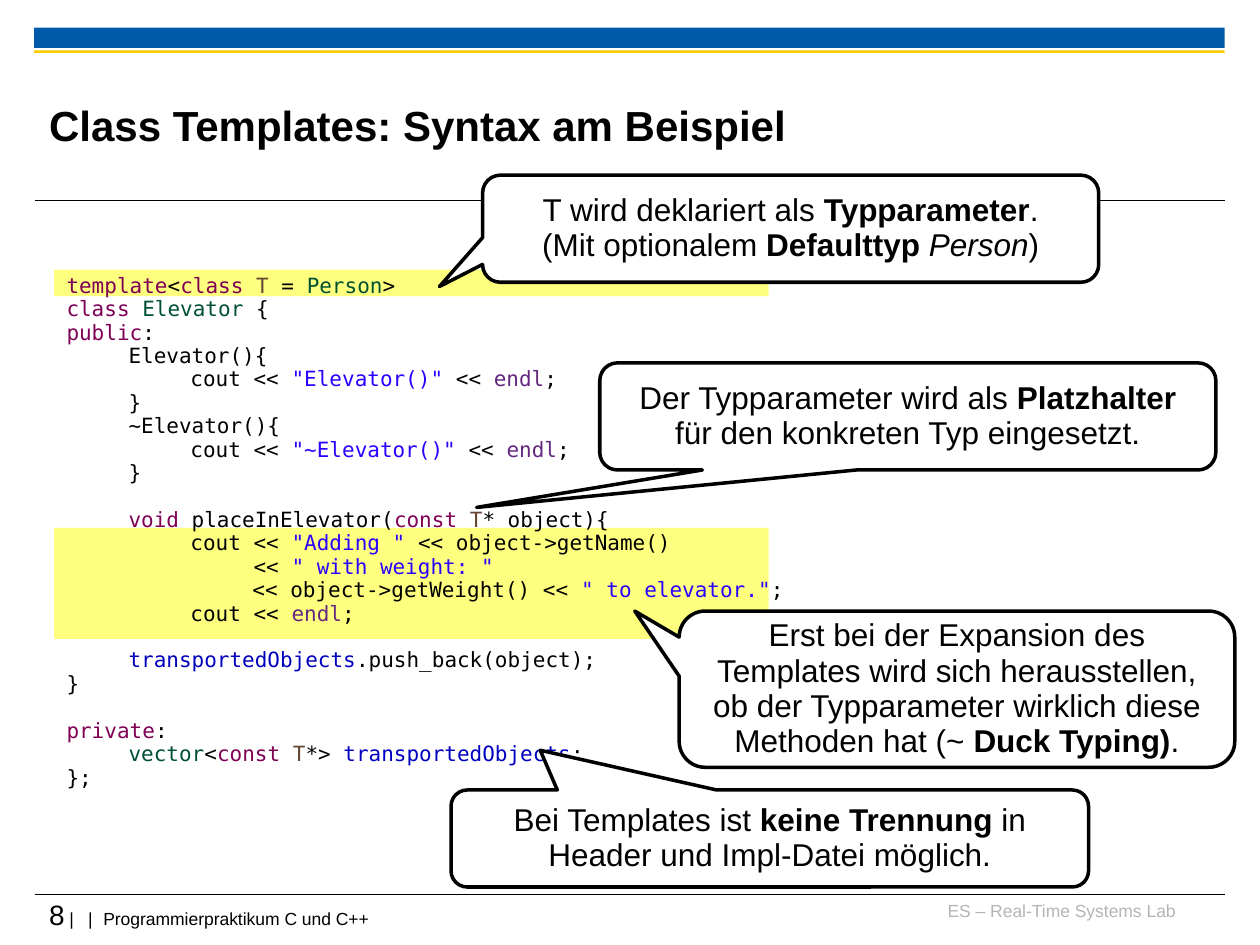
from lxml import etree
from pptx import Presentation
from pptx.dml.color import RGBColor
from pptx.enum.shapes import MSO_CONNECTOR, MSO_SHAPE
from pptx.enum.text import MSO_ANCHOR, PP_ALIGN
from pptx.oxml.ns import qn
from pptx.util import Inches, Pt

LEFT, CENTER, RIGHT = PP_ALIGN.LEFT, PP_ALIGN.CENTER, PP_ALIGN.RIGHT
TOP, MIDDLE = MSO_ANCHOR.TOP, MSO_ANCHOR.MIDDLE
RECT, CALLOUT = MSO_SHAPE.RECTANGLE, MSO_SHAPE.ROUNDED_RECTANGULAR_CALLOUT
STRAIGHT = MSO_CONNECTOR.STRAIGHT

COLUMNS, ROWS = 100, 75
CODE_TAB = 4.92
CODE_LINE = 13.4
COLORS = {
    "text": "000000", "paper": "FFFFFF", "bar": "005AA9", "accent": "FDCA00",
    "muted": "B5B5B5", "highlight": "FFFF00", "keyword": "7F0055",
    "param": "644632", "type": "005032", "string": "2A00FF",
    "function": "642880", "field": "0000C0",
}
BOLD, ITALIC = {"bold": True}, {"italic": True}

CODE = [
    [("template", "keyword"), ("<",), ("class ", "keyword"), ("T", "param"),
     (" = ",), ("Person", "type"), (">",)],
    [("class ", "keyword"), ("Elevator", "type"), (" {",)],
    [("public", "keyword"), (":",)],
    [("\tElevator(){",)],
    [("\t\tcout << ",), ('"Elevator()"', "string"), (" << ",),
     ("endl", "function"), (";",)],
    [("\t}",)],
    [("\t~Elevator(){",)],
    [("\t\tcout << ",), ('"~Elevator()"', "string"), (" << ",),
     ("endl", "function"), (";",)],
    [("\t}",)],
    [("\tvoid", "keyword"), (" placeInElevator(",), ("const ", "keyword"),
     ("T", "param"), ("* object){",)],
    [("\t\tcout << ",), ('"Adding "', "string"), (" << object->getName()",)],
    [("\t\t     << ",), ('" with weight: "', "string")],
    [(" \t\t\t<< object->getWeight() << ",), ('" to elevator."', "string"), (";",)],
    [("\t\tcout << ",), ("endl", "function"), (";",)],
    [("\ttransportedObjects", "field"), (".push_back(object);",)],
    [("}",)],
    [("private", "keyword"), (":",)],
    [("\tvector", "type"), ("<",), ("const ", "keyword"), ("T", "param"),
     ("*> ",), ("transportedObjects", "field"), (";",)],
    [("};",)],
]
SECTION_STARTS = {9, 14, 16}

CALLOUTS = [
    ((38.3, 13.9, 48.9, 8.5), (-0.57, 0.54),
     [[("T wird deklariert als ",), ("Typparameter", "text", BOLD), (".",)],
      [("(Mit optionalem ",), ("Defaulttyp ", "text", BOLD),
       ("Person", "text", ITALIC), (")",)]]),
    ((35.8, 62.7, 50.6, 7.7), (-0.36, -0.91),
     [[("Bei Templates ist ",), ("keine Trennung ", "text", BOLD),
       ("in Header und Impl-Datei möglich.",)]]),
    ((47.6, 28.8, 48.9, 8.5), (-0.7, 0.85),
     [[("Der Typparameter wird als ",), ("Platzhalter ", "text", BOLD),
       ("für den konkreten Typ eingesetzt.",)]]),
    ((53.9, 48.5, 44.1, 12.4), (-0.58, -0.5),
     [[("Erst bei der Expansion des Templates wird sich herausstellen, "
        "ob der Typparameter wirklich diese Methoden hat (~ ",),
       ("Duck Typing)", "text", BOLD), (".",)]]),
]


class SlideBuilder:
    body_font = {"name": "Arial", "size": Pt(18)}
    title_font = {"name": "Arial", "size": Pt(24), "bold": True}
    footer_font = {"name": "Arial", "size": Pt(10)}
    code_font = {"name": "DejaVu Sans Mono", "size": Pt(12)}
    padding = (1, 0.5)

    def __init__(self, deck):
        self.slide = deck.slides.add_slide(deck.slide_layouts[6])
        self.column = deck.slide_width / COLUMNS
        self.row = deck.slide_height / ROWS

    def place(self, *cells):
        units = (self.column, self.row) * 2
        return [round(cell * unit) for cell, unit in zip(cells, units)]

    def color(self, name):
        return RGBColor.from_string(COLORS[name])

    def rule(self, row):
        line = self.slide.shapes.add_connector(
            STRAIGHT, *self.place(2.75, row, 97.25, row))
        line.line.color.rgb = self.color("text")
        line.line.width = Pt(0.6)
        etree.SubElement(line._element.spPr, qn("a:effectLst"))

    def shape(self, preset, area, fill):
        shape = self.slide.shapes.add_shape(preset, *self.place(*area))
        shape.shadow.inherit = False
        shape.fill.solid()
        shape.fill.fore_color.rgb = self.color(fill)
        shape.line.fill.background()
        return shape

    def highlight(self, area):
        band = self.shape(RECT, area, "highlight")
        tone = band._element.spPr.find(".//" + qn("a:srgbClr"))
        etree.SubElement(tone, qn("a:alpha"), val="50000")

    def callout(self, area, tip, lines):
        bubble = self.shape(CALLOUT, area, "paper")
        bubble.line.color.rgb = self.color("text")
        bubble.line.width = Pt(2)
        bubble.adjustments[0], bubble.adjustments[1] = tip
        self.fill_text(bubble.text_frame, lines, self.body_font, CENTER, MIDDLE,
                       self.padding, 0.93)

    def text(self, area, lines, font, align=LEFT, anchor=TOP, **layout):
        box = self.slide.shapes.add_textbox(*self.place(*area))
        self.fill_text(box.text_frame, lines, font, align, anchor, **layout)

    def fill_text(self, frame, lines, font, align, anchor, padding=(0, 0),
                  spacing=1.0, tabs=(), gaps=()):
        across, down = self.place(*padding)
        settings = {"word_wrap": True, "vertical_anchor": anchor,
                    "margin_left": across, "margin_right": across,
                    "margin_top": down, "margin_bottom": down}
        for name, value in settings.items():
            setattr(frame, name, value)
        for index, pieces in enumerate(lines):
            paragraph = frame.add_paragraph() if index else frame.paragraphs[0]
            paragraph.alignment = align
            paragraph.line_spacing = spacing
            if index in gaps:
                paragraph.space_before = Pt(CODE_LINE)
            self.tab_stops(paragraph, tabs)
            for piece in pieces:
                self.run(paragraph, font, *piece)

    def tab_stops(self, paragraph, tabs):
        if tabs:
            stops = etree.SubElement(paragraph._p.get_or_add_pPr(), qn("a:tabLst"))
            for tab in tabs:
                etree.SubElement(stops, qn("a:tab"), algn="l",
                                 pos=str(round(tab * self.column)))

    def run(self, paragraph, font, words, color="text", emphasis=None):
        run = paragraph.add_run()
        run.text = words
        run.font.color.rgb = self.color(color)
        for name, value in {**font, **(emphasis or {})}.items():
            setattr(run.font, name, value)


def main():
    deck = Presentation()
    deck.slide_width, deck.slide_height = Inches(10), Inches(7.5)
    page = SlideBuilder(deck)

    page.rule(71)
    page.shape(RECT, (2.7, 2.2, 94.5, 1.6), "bar")
    page.rule(15.9)
    page.shape(RECT, (2.7, 4, 94.5, 0.2), "accent")
    page.text((73.6, 71.4, 19.7, 2.5), [[("ES – Real-Time Systems Lab", "muted")]],
              page.footer_font, RIGHT)
    page.text((3.9, 71.2, 65, 3.3),
              [[("8", "text", {"size": Pt(16)}),
                (" |\t|\tProgrammierpraktikum C und C++",)]],
              page.footer_font, tabs=(3.1, 4.3))

    for top, height in ((41.9, 8.8), (21.4, 2.1)):
        page.highlight((4.3, top, 56.7, height))
    page.text((3.9, 5.3, 75.2, 9.2), [[("Class Templates: Syntax am Beispiel",)]],
              page.title_font, anchor=MIDDLE)
    page.text((4.3, 21.3, 67.7, 42), CODE, page.code_font,
              padding=page.padding, spacing=0.93, gaps=SECTION_STARTS,
              tabs=[CODE_TAB * step for step in range(1, 8)])
    for area, tip, lines in CALLOUTS:
        page.callout(area, tip, lines)

    deck.save("out.pptx")


if __name__ == "__main__":
    main()
